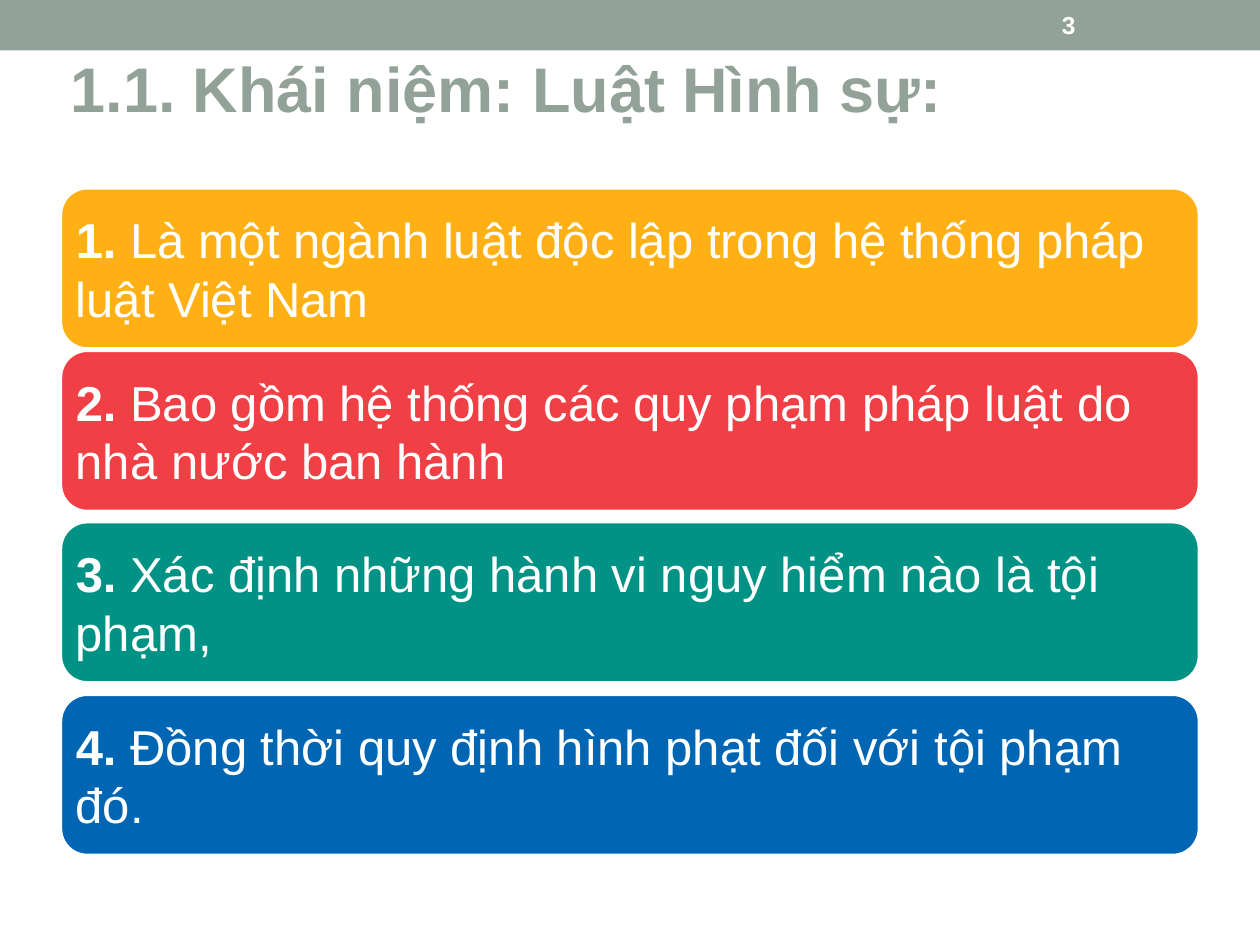
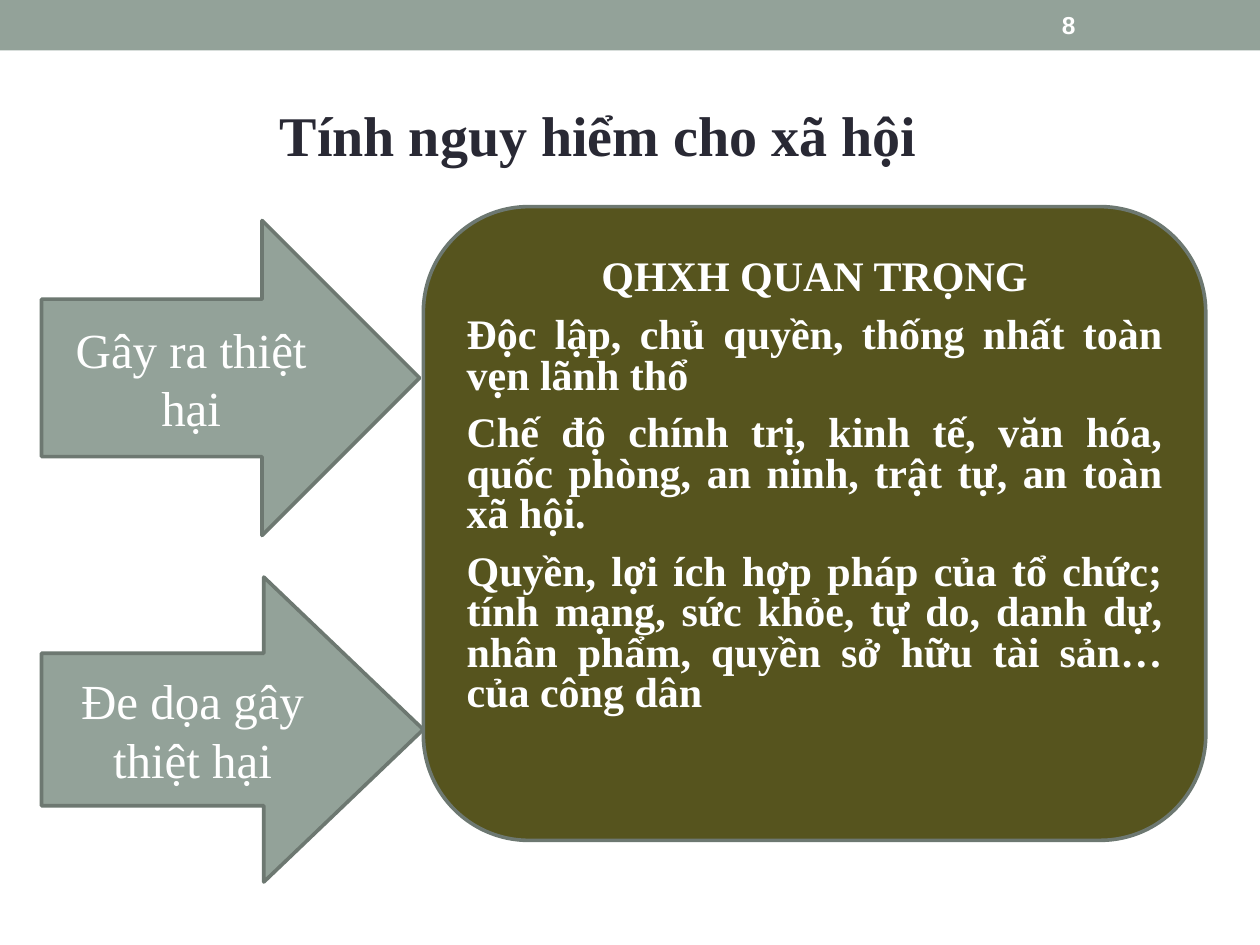
from dataclasses import dataclass

from pptx import Presentation
from pptx.dml.color import RGBColor
from pptx.enum.shapes import MSO_SHAPE as Preset
from pptx.enum.text import MSO_ANCHOR as Anchor, MSO_AUTO_SIZE as AutoSize, PP_ALIGN as Align
from pptx.util import Inches, Pt

SAGE = RGBColor(0x93, 0xA2, 0x99)
SAGE_DARK = RGBColor(0x6D, 0x78, 0x71)
OLIVE = RGBColor(0x56, 0x54, 0x1E)
INK = RGBColor(0x29, 0x29, 0x34)
WHITE = RGBColor(0xFF, 0xFF, 0xFF)
AMBER = RGBColor(0xFF, 0xB0, 0x14)
RED = RGBColor(0xF0, 0x40, 0x46)
TEAL = RGBColor(0x00, 0x92, 0x84)
BLUE = RGBColor(0x00, 0x66, 0xB3)
SANS, SERIF = "Arial", "Times New Roman"
OUTLINE = Pt(2.08)
TITLE_ONLY = 5


@dataclass(frozen=True)
class Box:
    left: float
    top: float
    width: float
    height: float

    def lengths(self) -> list:
        return [Inches(v) for v in (self.left, self.top, self.width, self.height)]


@dataclass(frozen=True)
class Feature:
    top: float
    fill: RGBColor
    text: str


@dataclass(frozen=True)
class Harm:
    box: Box
    head: float
    text: str


FEATURES = [
    Feature(1.49, AMBER, "Là một ngành luật độc lập trong hệ thống pháp luật Việt Nam"),
    Feature(2.78, RED, "Bao gồm hệ thống các quy phạm pháp luật do nhà nước ban hành"),
    Feature(4.14, TEAL, "Xác định những hành vi nguy hiểm nào là tội phạm,"),
    Feature(5.51, BLUE, "Đồng thời quy định hình phạt đối với tội phạm đó."),
]
HARMS = [
    Harm(Box(0.33, 1.75, 3, 2.5), 0.5, "Gây ra thiệt hại"),
    Harm(Box(0.33, 4.58, 3.03, 2.42), 0.523, "Đe dọa gây thiệt hại"),
]
PROTECTED_RELATIONS = [
    "Độc lập, chủ quyền, thống nhất toàn vẹn lãnh thổ",
    "Chế độ chính trị, kinh tế, văn hóa, quốc phòng, an ninh, trật tự, an toàn xã hội.",
    "Quyền, lợi ích hợp pháp của tổ chức; tính mạng, sức khỏe, tự do, danh dự, "
    "nhân phẩm, quyền sở hữu tài sản… của công dân",
]


def write(paragraph, text: str, *, size: float, font: str = SERIF, color: RGBColor = WHITE,
          bold: bool = False, align: Align = Align.LEFT) -> None:
    """Append one formatted run to a paragraph."""
    paragraph.alignment = align
    run = paragraph.add_run()
    run.text = text
    run.font.size, run.font.name, run.font.bold = Pt(size), font, bold
    run.font.color.rgb = color


def add_panel(slide, preset, box: Box, fill: RGBColor, line: RGBColor | None = None):
    """Draw a filled preset shape ready for text."""
    panel = slide.shapes.add_shape(preset, *box.lengths())
    panel.shadow.inherit = False
    panel.fill.solid()
    panel.fill.fore_color.rgb = fill
    if line is None:
        panel.line.fill.background()
    else:
        panel.line.color.rgb = line
        panel.line.width = OUTLINE
    panel.text_frame.word_wrap = True
    panel.text_frame.vertical_anchor = Anchor.MIDDLE
    return panel


def start_slide(deck, number: int, title: str, box: Box, margin_top: float, **style):
    """Add a slide with the top band, page number and title."""
    slide = deck.slides.add_slide(deck.slide_layouts[TITLE_ONLY])
    add_panel(slide, Preset.RECTANGLE, Box(0, 0, 10, 0.4), SAGE)

    page = slide.shapes.add_textbox(*Box(8.33, 0.02, 1.17, 0.36).lengths()).text_frame
    page.word_wrap = True
    page.vertical_anchor = Anchor.MIDDLE
    write(page.paragraphs[0], str(number), size=14, font=SANS, bold=True)

    heading = slide.shapes.title
    heading.left, heading.top, heading.width, heading.height = box.lengths()
    frame = heading.text_frame
    frame.auto_size = AutoSize.NONE
    frame.vertical_anchor = Anchor.TOP
    frame.margin_top = Inches(margin_top)
    write(frame.paragraphs[0], title, bold=True, **style)
    return slide


def build_definition(deck) -> None:
    slide = start_slide(deck, 3, "1.1. Khái niệm: Luật Hình sự:", Box(0.46, 0.29, 9.4, 0.8),
                        0.1, size=36, font=SANS, color=SAGE)
    for number, feature in enumerate(FEATURES, start=1):
        card = add_panel(slide, Preset.ROUNDED_RECTANGLE, Box(0.48, feature.top, 9.04, 1.28),
                         feature.fill, WHITE)
        frame = card.text_frame
        frame.margin_left = frame.margin_right = Inches(0.06)
        write(frame.paragraphs[0], f"{number}. ", size=28, font=SANS, bold=True)
        write(frame.paragraphs[0], feature.text, size=28, font=SANS)


def build_danger(deck) -> None:
    slide = start_slide(deck, 8, "Tính nguy hiểm cho xã hội", Box(0.92, 0.75, 7.66, 0.64),
                        0.05, size=32, color=INK, align=Align.CENTER)
    # Arrows: kinds of harm
    for harm in HARMS:
        arrow = add_panel(slide, Preset.RIGHT_ARROW, harm.box, SAGE, SAGE_DARK)
        arrow.adjustments[1] = harm.head
        write(arrow.text_frame.paragraphs[0], harm.text, size=28, align=Align.CENTER)

    # Panel: social relations under protection
    relations = add_panel(slide, Preset.ROUNDED_RECTANGLE, Box(3.36, 1.64, 6.21, 5.03),
                          OLIVE, SAGE_DARK).text_frame
    relations.margin_bottom = Inches(0.62)
    write(relations.paragraphs[0], "QHXH QUAN TRỌNG", size=24, bold=True, align=Align.CENTER)
    for text in PROTECTED_RELATIONS:
        write(relations.add_paragraph(), text, size=24, bold=True, align=Align.JUSTIFY)
    for paragraph in relations.paragraphs:
        paragraph.line_spacing = 0.8
        paragraph.space_before = Pt(10)


def main() -> None:
    deck = Presentation()
    deck.slide_width, deck.slide_height = Inches(10), Inches(7.5)
    build_definition(deck)
    build_danger(deck)
    deck.save("out.pptx")


if __name__ == "__main__":
    main()
